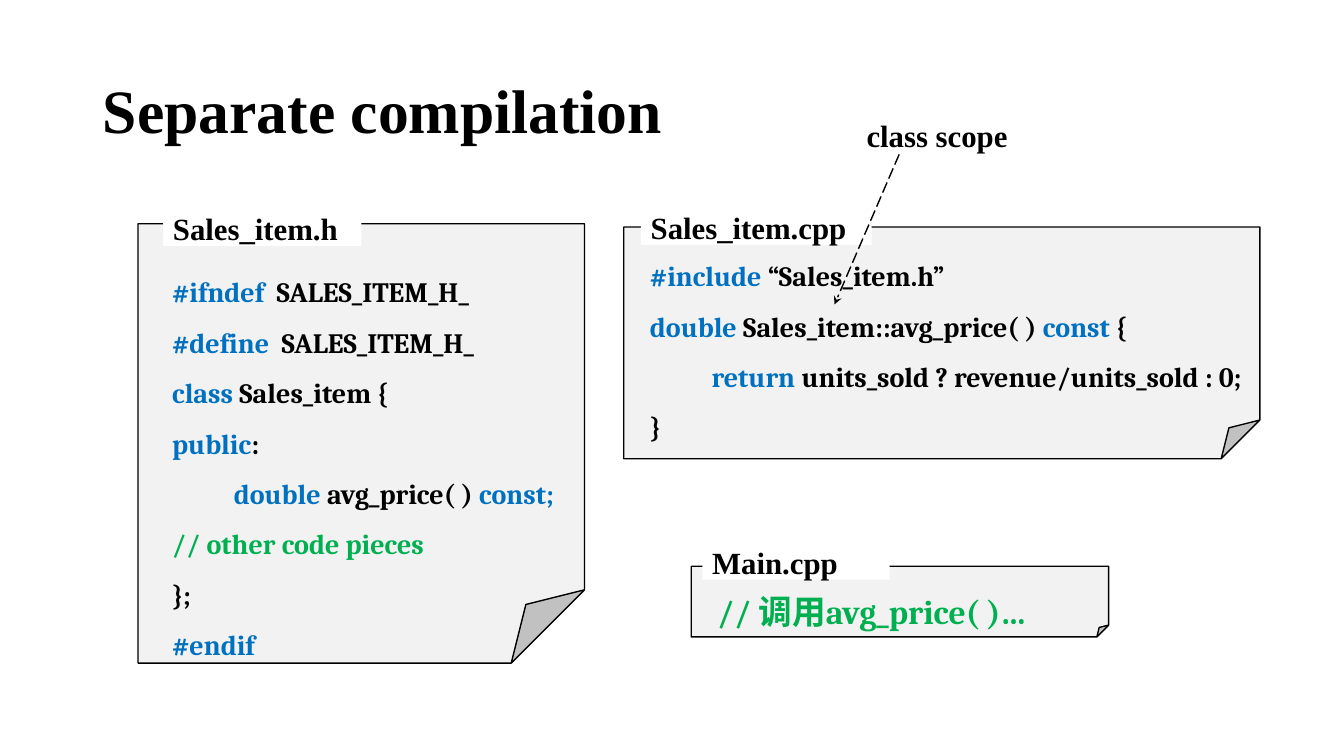
from dataclasses import dataclass

from lxml import etree
from pptx import Presentation
from pptx import util as u
from pptx.dml.color import RGBColor
from pptx.enum import dml, shapes, text
from pptx.oxml.ns import qn


@dataclass(frozen=True)
class Theme:
    ink: str = "000000"
    keyword: str = "0070C0"
    comment: str = "00B050"
    paper: str = "F2F2F2"
    white: str = "FFFFFF"
    heading_font: str = "Times New Roman"
    code_font: str = "Cambria"
    chinese_font: str = "Noto Sans CJK SC"
    title_size: int = 44
    label_size: int = 22
    code_size: int = 20
    call_size: int = 24
    line_width: int = 1
    code_spacing: float = 1.5
    title_spacing: float = 0.9


THEME = Theme()


@dataclass(frozen=True)
class Area:
    left: float
    top: float
    width: float
    height: float

    def lengths(self) -> tuple:
        return tuple(u.Cm(v) for v in (self.left, self.top, self.width, self.height))


@dataclass(frozen=True)
class Span:
    words: str
    color: str = THEME.ink
    font: str = THEME.code_font


@dataclass(frozen=True)
class SourceFile:
    name: str
    sheet: Area
    label: Area
    body: Area
    size: int
    lines: list[list[Span]]


def keyword(words: str) -> Span:
    return Span(words, THEME.keyword)


def comment(words: str, font: str = THEME.code_font) -> Span:
    return Span(words, THEME.comment, font)


def heading(words: str) -> list[list[Span]]:
    return [[Span(words, font=THEME.heading_font)]]


INDENT = " " * 10

FILES = [
    SourceFile(
        "Sales_item.h",
        Area(3.48, 5.64, 11.25, 11.07),
        Area(4.11, 4.7, 5, 1.5),
        Area(4.09, 6.38, 10.64, 10.36),
        THEME.code_size,
        [
            [keyword("#ifndef  "), Span("SALES_ITEM_H_")],
            [keyword("#define  "), Span("SALES_ITEM_H_")],
            [keyword("class "), Span("Sales_item {")],
            [keyword("public"), Span(": ")],
            [keyword(INDENT + "double "), Span("avg_price( ) "), keyword("const;")],
            [comment("// other code pieces")],
            [Span("}; ")],
            [keyword("#endif")],
        ],
    ),
    SourceFile(
        "Sales_item.cpp",
        Area(15.72, 5.72, 16.03, 5.84),
        Area(16.15, 4.67, 5.82, 1.5),
        Area(16.13, 5.97, 16.03, 5.23),
        THEME.code_size,
        [
            [keyword("#include "), Span("“Sales_item.h”")],
            [keyword("double "), Span("Sales_item::avg_price( ) "), keyword("const"), Span(" {")],
            [keyword(INDENT + "return "), Span("units_sold ? revenue/units_sold : 0;")],
            [Span("}")],
        ],
    ),
    SourceFile(
        "Main.cpp",
        Area(17.42, 14.27, 10.52, 1.78),
        Area(17.7, 13.11, 4.72, 1.5),
        Area(17.83, 14.27, 9.88, 1.65),
        THEME.call_size,
        [[comment("// "), comment("调用", THEME.chinese_font), comment("avg_price( )…")]],
    ),
]


def assign(target, values: dict) -> None:
    for name, value in values.items():
        setattr(target, name, value)


def write(frame, lines: list[list[Span]], size: int, para_format: dict) -> None:
    for index, line in enumerate(lines):
        para = frame.add_paragraph() if index else frame.paragraphs[0]
        assign(para, para_format)
        for span in line:
            run = para.add_run()
            run.text = span.words
            assign(run.font, {"size": u.Pt(size), "bold": True, "name": span.font})
            run.font.color.rgb = RGBColor.from_string(span.color)
            etree.SubElement(run.font._element, qn("a:ea"), typeface=THEME.chinese_font)


def write_box(box, lines: list[list[Span]], size: int) -> None:
    assign(box.text_frame, {
        "word_wrap": True,
        "auto_size": text.MSO_AUTO_SIZE.SHAPE_TO_FIT_TEXT,
        "vertical_anchor": text.MSO_ANCHOR.TOP,
    })
    write(box.text_frame, lines, size, {
        "alignment": text.PP_ALIGN.JUSTIFY,
        "line_spacing": THEME.code_spacing,
    })


def add_panel(page, kind, area: Area, fill: str):
    panel = page.shapes.add_shape(kind, *area.lengths())
    panel.shadow.inherit = False
    panel.fill.solid()
    panel.fill.fore_color.rgb = RGBColor.from_string(fill)
    return panel


def format_line(line) -> None:
    line.color.rgb = RGBColor.from_string(THEME.ink)
    line.width = u.Pt(THEME.line_width)


def add_file(page, file: SourceFile) -> None:
    sheet = add_panel(page, shapes.MSO_SHAPE.FOLDED_CORNER, file.sheet, THEME.paper)
    format_line(sheet.line)
    write_box(page.shapes.add_textbox(*file.body.lengths()), file.lines, file.size)
    label = add_panel(page, shapes.MSO_SHAPE.RECTANGLE, file.label, THEME.white)
    label.line.fill.background()
    write_box(label, heading(file.name), THEME.label_size)


def add_scope_note(page) -> None:
    note = page.shapes.add_textbox(*Area(21.59, 2.34, 5, 1.5).lengths())
    write_box(note, heading("class scope"), THEME.label_size)
    ends = (u.Cm(v) for v in (22.66, 3.89, 21.03, 7.67))
    arrow = page.shapes.add_connector(shapes.MSO_CONNECTOR.STRAIGHT, *ends)
    format_line(arrow.line)
    arrow.line.dash_style = dml.MSO_LINE.LONG_DASH
    etree.SubElement(arrow.line._get_or_add_ln(), qn("a:tailEnd"), type="stealth")
    etree.SubElement(arrow._element.spPr, qn("a:effectLst"))


def add_title(page) -> None:
    title = page.shapes.title
    area = Area(2.34, 1.02, 29.21, 3.68)
    assign(title, dict(zip(("left", "top", "width", "height"), area.lengths())))
    title.text_frame.vertical_anchor = text.MSO_ANCHOR.MIDDLE
    write(title.text_frame, heading("Separate compilation"), THEME.title_size, {
        "alignment": text.PP_ALIGN.LEFT,
        "line_spacing": THEME.title_spacing,
    })


def main() -> None:
    deck = Presentation()
    assign(deck, {"slide_width": u.Cm(33.87), "slide_height": u.Cm(19.05)})
    page = deck.slides.add_slide(deck.slide_layouts.get_by_name("Title Only"))
    add_title(page)
    for file in FILES:
        add_file(page, file)
    add_scope_note(page)
    deck.save("out.pptx")


if __name__ == "__main__":
    main()
